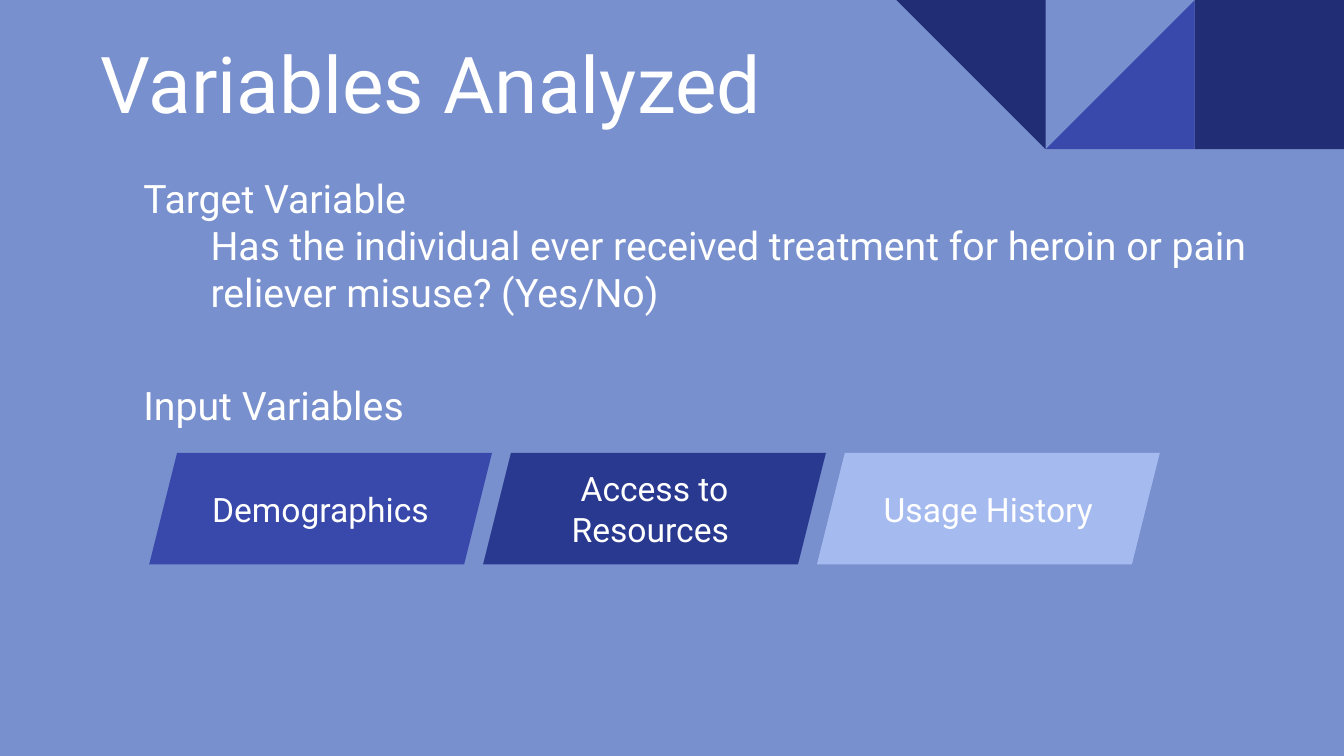
"""Build the "Variables Analyzed" slide."""
from dataclasses import dataclass

from pptx import Presentation
from pptx.dml.color import RGBColor
from pptx.enum.shapes import MSO_SHAPE as Preset
from pptx.enum.text import MSO_ANCHOR as Anchor, PP_ALIGN as Align
from pptx.util import Cm, Pt

FONT = "Roboto"
WHITE = "FFFFFF"
SKY = "7890CD"
NAVY = "212D74"
INDIGO = "3949AB"

CORNER_SIDE = 2.82
CORNER_LEFT = 25.4 - 3 * CORNER_SIDE
TILE_LEFT, TILE_TOP = 2.82, 8.56
TILE_WIDTH, TILE_HEIGHT = 6.48, 2.11
TILE_PITCH = 6.31
LABEL_WIDTH = 5.64


@dataclass
class Box:
    left: float
    top: float
    width: float
    height: float

    def lengths(self):
        return Cm(self.left), Cm(self.top), Cm(self.width), Cm(self.height)


@dataclass
class CornerPiece:
    column: int
    preset: Preset
    rotation: int
    color: str


@dataclass
class Category:
    label: str
    color: str


@dataclass
class Line:
    text: str
    indent: float = 0
    space_before: float = 0


CORNER = [
    CornerPiece(2, Preset.RECTANGLE, 0, NAVY),
    CornerPiece(1, Preset.RIGHT_TRIANGLE, 270, INDIGO),
    CornerPiece(1, Preset.RIGHT_TRIANGLE, 90, SKY),
    CornerPiece(0, Preset.RIGHT_TRIANGLE, 180, NAVY),
]
CATEGORIES = [
    Category("Demographics", INDIGO),
    Category("Access to Resources ", "2A3990"),
    Category("Usage History", "A5BAEF"),
]
VARIABLES = [
    Line("Target Variable"),
    Line("Has the individual ever received treatment for heroin or pain "
         "reliever misuse? (Yes/No)", indent=1.27),
    Line("Input Variables", space_before=35),
]


def paint(fill, color: str) -> None:
    fill.solid()
    fill.fore_color.rgb = RGBColor.from_string(color)


def add_figure(slide, preset: Preset, box: Box, color: str, rotation: int = 0):
    figure = slide.shapes.add_shape(preset, *box.lengths())
    figure.rotation = rotation
    figure.shadow.inherit = False
    figure.line.fill.background()
    paint(figure.fill, color)
    return figure


def add_text(slide, box: Box, lines: list[Line], size: float,
             align: Align = Align.LEFT, anchor: Anchor = Anchor.TOP) -> None:
    frame = slide.shapes.add_textbox(*box.lengths()).text_frame
    frame.word_wrap = True
    frame.vertical_anchor = anchor
    frame.margin_left = frame.margin_right = Cm(0.25)
    frame.margin_top = frame.margin_bottom = Cm(0.25)
    frame.text = "\n".join(line.text for line in lines)
    for line, paragraph in zip(lines, frame.paragraphs):
        paragraph.alignment = align
        paragraph.space_before = Pt(line.space_before)
        if line.indent:
            paragraph._p.get_or_add_pPr().set("marL", str(Cm(line.indent)))
        for run in paragraph.runs:
            run.font.name = FONT
            run.font.size = Pt(size)
            paint(run.font.fill, WHITE)


def add_category(slide, index: int, category: Category) -> None:
    left = TILE_LEFT + index * TILE_PITCH
    tile = Box(left, TILE_TOP, TILE_WIDTH, TILE_HEIGHT)
    add_figure(slide, Preset.PARALLELOGRAM, tile, category.color)
    label = Box(left + (TILE_WIDTH - LABEL_WIDTH) / 2, TILE_TOP,
                LABEL_WIDTH, TILE_HEIGHT)
    add_text(slide, label, [Line(category.label)], 18,
             Align.CENTER, Anchor.MIDDLE)


def main() -> None:
    deck = Presentation()
    deck.slide_width, deck.slide_height = Cm(25.4), Cm(14.29)
    slide = deck.slides.add_slide(deck.slide_layouts[6])
    paint(slide.background.fill, SKY)

    for piece in CORNER:
        square = Box(CORNER_LEFT + piece.column * CORNER_SIDE, 0,
                     CORNER_SIDE, CORNER_SIDE)
        add_figure(slide, piece.preset, square, piece.color, piece.rotation)

    add_text(slide, Box(1.65, 0.36, 22.83, 2.34),
             [Line("Variables Analyzed")], 42, anchor=Anchor.BOTTOM)
    add_text(slide, Box(2.46, 3.05, 22.94, 4.06), VARIABLES, 21)
    for index, category in enumerate(CATEGORIES):
        add_category(slide, index, category)

    deck.save("out.pptx")


if __name__ == "__main__":
    main()
